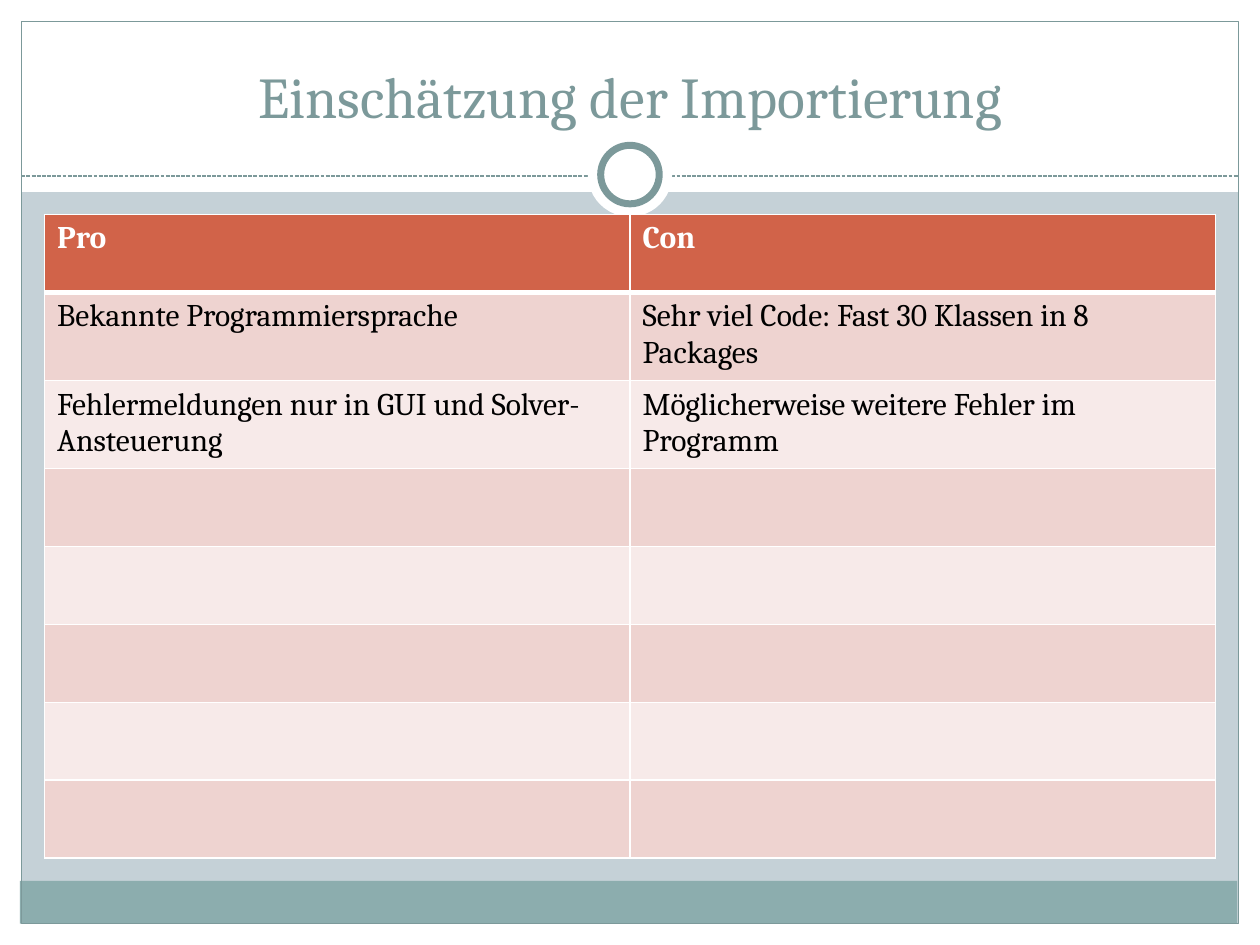
from dataclasses import dataclass

from lxml.etree import SubElement
from pptx import Presentation
from pptx.dml.color import RGBColor
from pptx.enum.dml import MSO_LINE
from pptx.enum.shapes import MSO_CONNECTOR, MSO_SHAPE
from pptx.enum.text import MSO_ANCHOR, PP_ALIGN
from pptx.oxml.ns import qn
from pptx.slide import Slide
from pptx.table import _Cell
from pptx.text.text import TextFrame
from pptx.util import Cm, Pt

FONT = "Cambria"
HEX = {
    "white": "FFFFFF", "black": "000000", "ground": "C5D1D7",
    "teal": "8CADAE", "edge": "7C999A", "head": "D16349",
    "dark": "EED3D0", "light": "F7EAE9",
}
WIDE, HIGH, RIM = 25.4, 19.05, 0.43
ROWS = [
    ("Pro", "Con"),
    ("Bekannte Programmiersprache", "Sehr viel Code: Fast 30 Klassen in 8 Packages"),
    ("Fehlermeldungen nur in GUI und Solver-Ansteuerung",
     "Möglicherweise weitere Fehler im Programm"),
] + [("", "")] * 5


@dataclass
class Part:
    """One preset shape of the frame, in centimetres."""
    left: float
    top: float
    width: float
    height: float
    fill: str | None = "white"
    line: str | None = None
    weight: float = 0.75
    kind: MSO_SHAPE = MSO_SHAPE.RECTANGLE


FRAME = [
    Part(0, HIGH - RIM, WIDE, RIM),
    Part(0, 0, WIDE, 3.87),
    Part(0, 0, RIM, HIGH),
    Part(WIDE - RIM, 0, RIM, HIGH),
    Part(0.4, 17.76, 24.54, 0.86, "teal"),
    Part(RIM, RIM, WIDE - 2 * RIM, HIGH - 2 * RIM, None, "edge"),
]
RING = [
    Part(11.85, 2.67, 1.7, 1.7, kind=MSO_SHAPE.OVAL),
    Part(12.11, 2.93, 1.18, 1.18, line="edge", weight=4, kind=MSO_SHAPE.OVAL),
]


def tint(name: str) -> RGBColor:
    """Look up a named colour."""
    return RGBColor.from_string(HEX[name])


def draw(slide: Slide, part: Part) -> None:
    """Draw one frame part."""
    shape = slide.shapes.add_shape(
        part.kind, Cm(part.left), Cm(part.top), Cm(part.width), Cm(part.height))
    shape.shadow.inherit = False
    if part.fill:
        shape.fill.solid()
        shape.fill.fore_color.rgb = tint(part.fill)
    else:
        shape.fill.background()
    if part.line:
        shape.line.color.rgb = tint(part.line)
        shape.line.width = Pt(part.weight)
    else:
        shape.line.fill.background()


def rule(slide: Slide, top: float) -> None:
    """Draw the dashed line under the title."""
    line = slide.shapes.add_connector(
        MSO_CONNECTOR.STRAIGHT, Cm(RIM), Cm(top), Cm(WIDE - RIM), Cm(top))
    line.line.color.rgb = tint("edge")
    line.line.width = Pt(0.75)
    line.line.dash_style = MSO_LINE.SQUARE_DOT
    SubElement(line._element.spPr, qn("a:effectLst"))


def write(frame: TextFrame, text: str, *, size: float = 18, color: str = "black",
          bold: bool = False, align: PP_ALIGN = PP_ALIGN.LEFT) -> None:
    """Put formatted text into a frame."""
    para = frame.paragraphs[0]
    para.alignment = align
    if not text:
        para.font.size = Pt(size)
        return
    run = para.add_run()
    run.text = text
    font = run.font
    font.name, font.size, font.bold = FONT, Pt(size), bold
    font.color.rgb = tint(color)


def border(cell: _Cell, **sides: float) -> None:
    """Give a cell white borders with a width in points per side."""
    props = cell._tc.get_or_add_tcPr()
    for side in "LRTB":
        line = SubElement(props, qn(f"a:ln{side}"), w=str(Pt(sides.get(side, 1))))
        fill = SubElement(line, qn("a:solidFill"))
        SubElement(fill, qn("a:srgbClr"), val=HEX["white"])


def grid(slide: Slide) -> None:
    """Draw the table of pros and cons."""
    wide, high = 11.8, 1.57
    table = slide.shapes.add_table(
        len(ROWS), 2, Cm(0.9), Cm(4.32), Cm(2 * wide), Cm(len(ROWS) * high)).table
    for col in table.columns:
        col.width = Cm(wide)
    for i, texts in enumerate(ROWS):
        table.rows[i].height = Cm(high)
        head = i == 0
        shade = "head" if head else ("light", "dark")[i % 2]
        for j, text in enumerate(texts):
            cell = table.cell(i, j)
            border(cell, T=3 if i == 1 else 1, B=3 if head else 1)
            cell.fill.solid()
            cell.fill.fore_color.rgb = tint(shade)
            write(cell.text_frame, text, bold=head, color="white" if head else "black")


def main() -> None:
    """Build and save the slide."""
    deck = Presentation()
    deck.slide_width, deck.slide_height = Cm(WIDE), Cm(HIGH)
    slide = deck.slides.add_slide(deck.slide_layouts[6])
    slide.background.fill.solid()
    slide.background.fill.fore_color.rgb = tint("ground")
    for part in FRAME:
        draw(slide, part)
    rule(slide, 3.55)
    for part in RING:
        draw(slide, part)
    title = slide.shapes.add_textbox(Cm(0.85), Cm(0.64), Cm(23.7), Cm(2.1)).text_frame
    title.word_wrap = True
    title.vertical_anchor = MSO_ANCHOR.BOTTOM
    write(title, "Einschätzung der Importierung", size=33, color="edge",
          align=PP_ALIGN.CENTER)
    grid(slide)
    deck.save("out.pptx")


if __name__ == "__main__":
    main()
